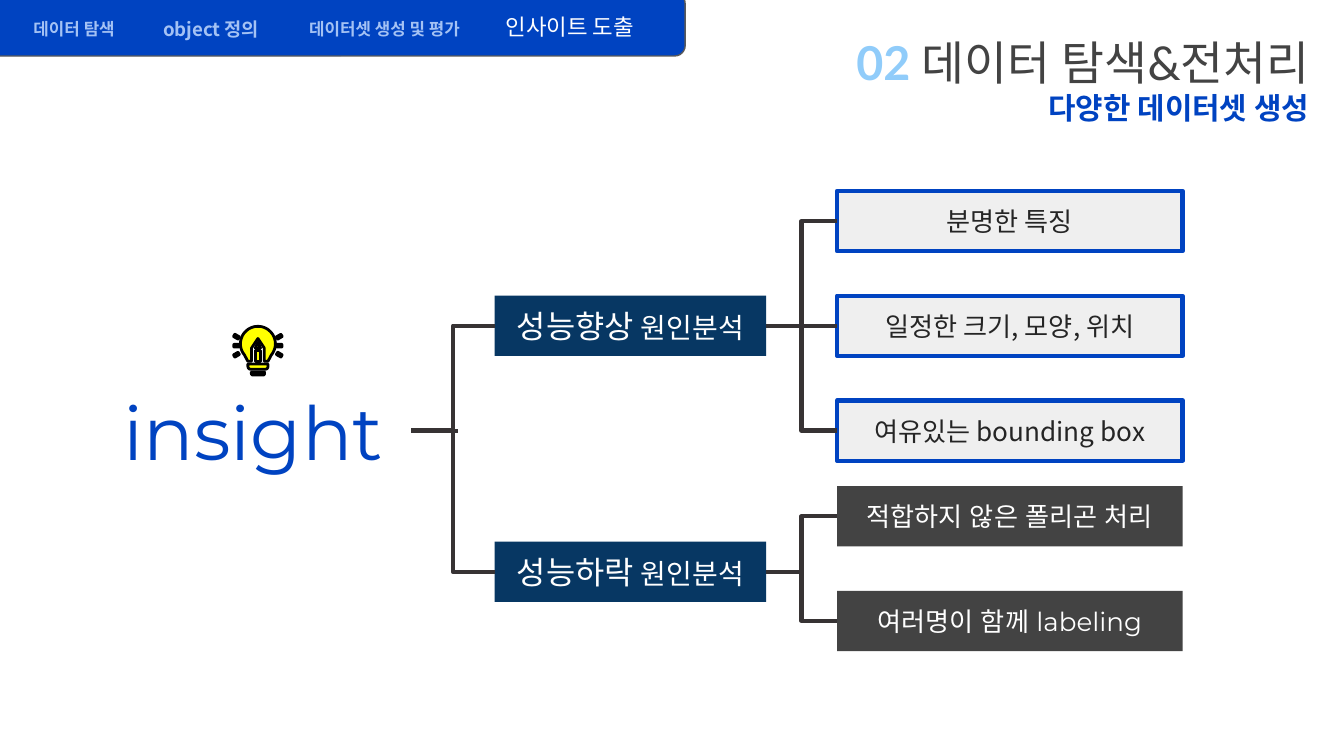
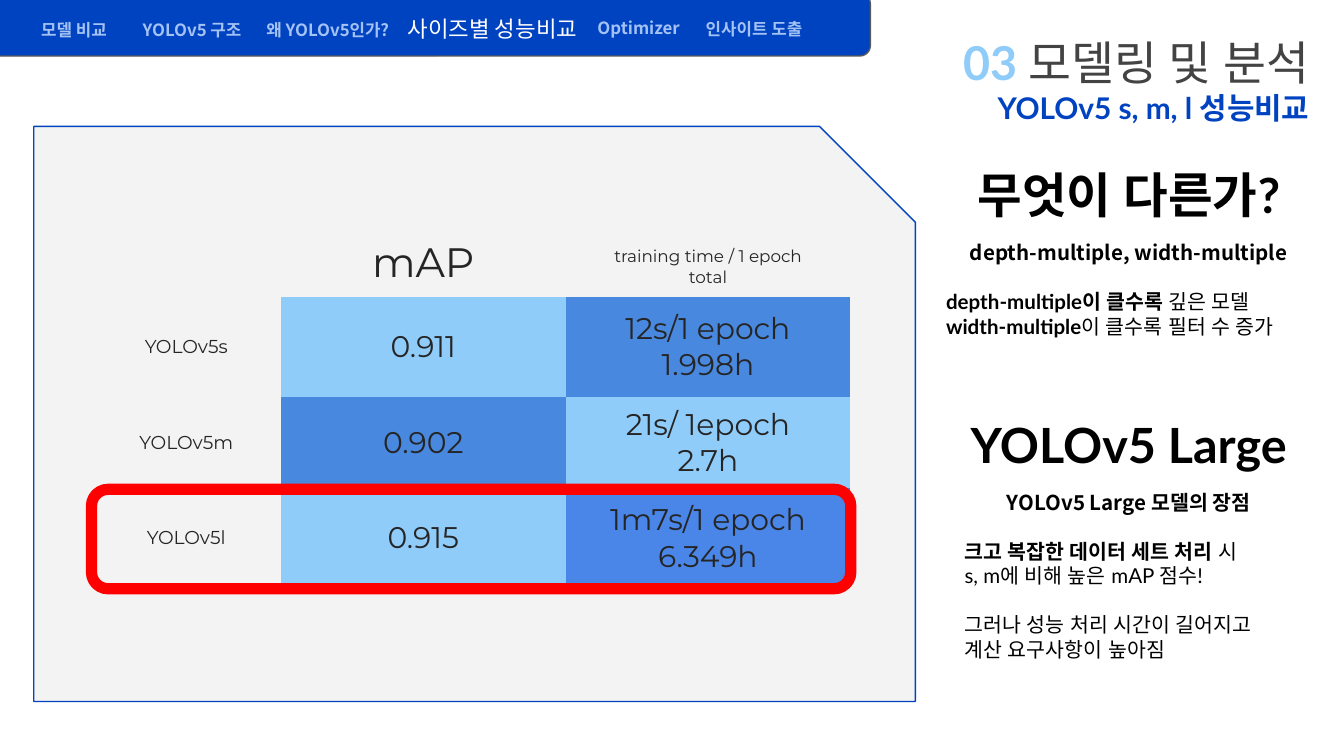
from dataclasses import dataclass, replace
from math import cos, radians, sin

from lxml import etree
from pptx import Presentation
from pptx.dml.color import RGBColor
from pptx.enum.shapes import MSO_CONNECTOR, MSO_SHAPE
from pptx.enum.text import MSO_ANCHOR, PP_ALIGN
from pptx.oxml.ns import qn
from pptx.util import Cm, Pt

LEFT, CENTER, RIGHT = PP_ALIGN.LEFT, PP_ALIGN.CENTER, PP_ALIGN.RIGHT
TOP, MIDDLE, BOTTOM = MSO_ANCHOR.TOP, MSO_ANCHOR.MIDDLE, MSO_ANCHOR.BOTTOM
RECT, ROUNDED = MSO_SHAPE.RECTANGLE, MSO_SHAPE.ROUNDED_RECTANGLE
SNIPPED, ROUND_TOP = MSO_SHAPE.SNIP_1_RECTANGLE, MSO_SHAPE.ROUND_2_SAME_RECTANGLE
STRAIGHT, ELBOW = MSO_CONNECTOR.STRAIGHT, MSO_CONNECTOR.ELBOW
SIDE_LEFT, SIDE_RIGHT = 1, 3
NO_TABLE_STYLE = "{2D5ABB26-0587-4C30-8999-92F81FD0307C}"


@dataclass(frozen=True)
class Style:
    size: float
    font: str
    color: str
    bold: bool = False


@dataclass(frozen=True)
class Box:
    left: float
    top: float
    width: float
    height: float

    def inner(self, left, top, width, height):
        return Box(self.left + left, self.top + top, width, height)

    def lengths(self):
        return [Cm(v) for v in (self.left, self.top, self.width, self.height)]


class Theme:
    blue, sky, mid_blue, bright_blue = "0043C1", "90CCFA", "4888DE", "4A86E8"
    navy, dark, ink, line = "073763", "434343", "252525", "373334"
    pale, panel, white, black = "EFEFEF", "F3F3F3", "FFFFFF", "000000"
    band_edge, yellow, red = "595959", "FFFF00", "FF0000"
    lato, noto, montserrat = "Lato", "Noto Sans CJK KR", "Montserrat"

    number = Style(25, lato, sky, True)
    title = Style(25, lato, dark)
    subtitle = Style(16, lato, blue, True)
    tab = Style(9, noto, "A4C2F4", True)
    wide_tab = replace(tab, size=10)
    active_tab = Style(12, noto, white)
    root = Style(40, montserrat, blue)
    cause = Style(17, noto, white)
    cause_small = replace(cause, size=15)
    good_leaf = Style(14, noto, ink)
    bad_leaf = Style(14, montserrat, white)
    heading = Style(26, lato, black, True)
    lead = Style(11, noto, black, True)
    strong = Style(11, lato, black, True)
    plain = Style(11, lato, black)
    value = Style(16, montserrat, ink)
    measure = replace(value, size=22)
    unit = replace(value, size=9)
    model = replace(value, size=10)


def rgb(value):
    return RGBColor.from_string(value)


# Text and shape helpers
def add_spans(para, spans, align=LEFT, before=0):
    para.alignment = align
    if before:
        para.space_before = Pt(before)
    for words, style in spans:
        span = para.add_run()
        span.text = words
        font = span.font
        font.size, font.bold, font.name = Pt(style.size), style.bold, style.font
        font.color.rgb = rgb(style.color)
        etree.SubElement(span._r.get_or_add_rPr(), qn("a:ea"), typeface=style.font)


def write(frame, paras, anchor=TOP, inset=0.25):
    """Each para is (spans, align) or (spans, align, space before)."""
    frame.word_wrap = True
    frame.vertical_anchor = anchor
    frame.margin_left = frame.margin_right = Cm(inset)
    frame.margin_top = frame.margin_bottom = Cm(inset)
    for index, content in enumerate(paras):
        para = frame.add_paragraph() if index else frame.paragraphs[0]
        add_spans(para, *content)


def add_text(page, box, paras, anchor=TOP, inset=0.25):
    write(page.shapes.add_textbox(*box.lengths()).text_frame, paras, anchor, inset)


def paint(shape, fill=None, line=None, weight=0.75):
    shape.shadow.inherit = False
    if fill:
        shape.fill.solid()
        shape.fill.fore_color.rgb = rgb(fill)
    else:
        shape.fill.background()
    if line:
        shape.line.color.rgb = rgb(line)
        shape.line.width = Pt(weight)
    else:
        shape.line.fill.background()
    return shape


def add_block(page, kind, box, fill=None, line=None, weight=0.75):
    return paint(page.shapes.add_shape(kind, *box.lengths()), fill, line, weight)


def add_line(page, kind, start, end, source=None, target=None):
    wire = page.shapes.add_connector(kind, *[Cm(v) for v in (*start, *end)])
    if source:
        wire.begin_connect(source, SIDE_RIGHT)
    if target:
        wire.end_connect(target, SIDE_LEFT)
    wire.line.color.rgb = rgb(Theme.line)
    wire.line.width = Pt(2.25)
    etree.SubElement(wire.element.spPr, qn("a:effectLst"))


# Shared header: navigation band and right-aligned title
def add_band(page, box, tabs):
    add_block(page, ROUNDED, box, Theme.blue, Theme.band_edge)
    for words, left, top, width, style in tabs:
        add_text(page, box.inner(left, top, width, 0.4), [([(words, style)], CENTER)], inset=0)


def add_title(page, box, number, title, subtitle):
    add_text(page, box.inner(1.38, 1.3, box.width - 1.38, 1.19),
             [([(subtitle, Theme.subtitle)], RIGHT)])
    add_text(page, box.inner(0, 0, box.width, 1.8),
             [([(number + " ", Theme.number), (title, Theme.title)], RIGHT)], BOTTOM)


def add_header(page, band_width, tabs, *titles):
    add_band(page, Box(-0.64, -0.13, band_width, 1.19), tabs)
    add_title(page, Box(15.21, 0.15, 9.78, 2.49), *titles)


# Light bulb with a pencil inside
def add_outline(page, box, points):
    points = [(Cm(box.left + x), Cm(box.top + y)) for x, y in points]
    builder = page.shapes.build_freeform(*points[0])
    builder.add_line_segments(points[1:], close=True)
    paint(builder.convert_to_shape(), Theme.yellow, Theme.black, 1.5)


def add_bulb(page, box):
    middle, radius = box.width / 2, 0.33
    for side, left in ((-1, 0), (1, box.width - 0.1)):
        for row in (-1, 0, 1):
            ray = add_block(page, ROUNDED, box.inner(left, 0.34 + 0.17 * row, 0.1, 0.05),
                            Theme.yellow, Theme.black, 1.5)
            ray.rotation = 30 * side * row
    glass = [(middle + radius * cos(radians(a)), radius + radius * sin(radians(a)))
             for a in range(141, 400, 6)]
    neck = [(0.19, 0.66), (0.12, 0.66), (0.12, 0.41), (0, 0.23),
            (-0.12, 0.41), (-0.12, 0.66), (-0.19, 0.66)]
    add_outline(page, box, glass + [(middle + x, y) for x, y in neck])
    add_outline(page, box, [(middle, 0.3), (middle - 0.05, 0.41), (middle + 0.05, 0.41)])
    add_block(page, RECT, box.inner(middle - 0.05, 0.46, 0.1, 0.2),
              Theme.yellow, Theme.black, 1.5)
    for top, width, height in ((0.71, 0.38, 0.1), (0.86, 0.25, 0.06)):
        foot = add_block(page, ROUND_TOP, box.inner(middle - width / 2, top, width, height),
                         Theme.yellow, Theme.black, 1.5)
        foot.adjustments[0] = 0.5
        foot.rotation = 180


# Insight tree
def add_branch(page, box, cause_top, leaf_top, cause, leaves, style, fill, edge=None):
    height, step = 1.14, 1.98
    cause_block = add_block(page, RECT, box.inner(7.62, cause_top, 5.13, height), Theme.navy)
    write(cause_block.text_frame,
          [([(cause + " ", Theme.cause), ("원인분석", Theme.cause_small)], CENTER)], MIDDLE)
    add_line(page, ELBOW, (box.left + 6.04, box.top + 4.64),
             (box.left + 7.62, box.top + cause_top + height / 2), target=cause_block)
    for index, words in enumerate(leaves):
        top = leaf_top + step * index
        leaf = add_block(page, RECT, box.inner(14.09, top, 6.53, height), fill, edge, 2.25)
        write(leaf.text_frame, [([(words, style)], CENTER)], MIDDLE)
        level = box.top + top + height / 2
        kind = STRAIGHT if abs(top - cause_top) < 0.1 else ELBOW
        add_line(page, kind, (box.left + 12.75, level), (box.left + 14.09, level),
                 cause_block, leaf)


def add_tree(page, box):
    add_bulb(page, box.inner(2.69, 2.67, 0.91, 0.94))
    add_text(page, box.inner(0, 3.74, 6.12, 1.8),
             [([("insight", Theme.root)], CENTER)], MIDDLE)
    level = box.top + 4.64
    add_line(page, STRAIGHT, (box.left + 6.04, level), (box.left + 6.93, level))
    add_branch(page, box, 2.09, 0.11, "성능향상",
               ["분명한 특징", "일정한 크기, 모양, 위치", "여유있는 bounding box"],
               Theme.good_leaf, Theme.pale, Theme.blue)
    add_branch(page, box, 6.74, 5.69, "성능하락",
               ["적합하지 않은 폴리곤 처리", "여러명이 함께 labeling"],
               Theme.bad_leaf, Theme.dark)


# Score table on its snipped panel
def add_scores(page, box):
    add_block(page, SNIPPED, box, Theme.panel, Theme.blue)
    sky, mid, bright = Theme.sky, Theme.mid_blue, Theme.bright_blue
    rows = [
        (1.78, "", "mAP", ["training time / 1 epoch", "total"], None, None),
        (1.88, "YOLOv5s", "0.911", ["12s/1 epoch", "1.998h"], sky, mid),
        (1.7, "YOLOv5m", "0.902", ["21s/ 1epoch", "2.7h"], mid, sky),
        (1.88, "YOLOv5l", "0.915", ["1m7s/1 epoch", "6.349h"], sky, bright),
    ]
    widths = (3.58, 5.38, 5.38)
    area = box.inner(1.09, 1.45, sum(widths), sum(row[0] for row in rows))
    frame = page.shapes.add_table(len(rows), len(widths), *area.lengths())
    frame.element.xpath(".//a:tableStyleId")[0].text = NO_TABLE_STYLE
    table = frame.table
    table.first_row = table.horz_banding = False
    for column, width in zip(table.columns, widths):
        column.width = Cm(width)
    for index, (height, name, score, times, *fills) in enumerate(rows):
        table.rows[index].height = Cm(height)
        styles = [Theme.model, Theme.value if index else Theme.measure,
                  Theme.value if index else Theme.unit]
        contents = zip(table.rows[index].cells, ([name], [score], times),
                       styles, [None, *fills])
        for cell, lines, style, fill in contents:
            write(cell.text_frame,
                  [([(words, style)] if words else [], CENTER) for words in lines])
            cell.vertical_anchor = MIDDLE if index else BOTTOM
            cell.margin_left = cell.margin_right = Cm(0.25)
            cell.margin_top = cell.margin_bottom = Cm(0.18)
            if fill:
                cell.fill.solid()
                cell.fill.fore_color.rgb = rgb(fill)
            else:
                cell.fill.background()
    # Highlight around the last row
    add_block(page, ROUNDED, box.inner(1.09, 6.86, 14.35, 1.88), None, Theme.red, 6)


# Heading with explanation below
def add_note(page, box, heading, indent, lead, paras):
    add_text(page, box.inner(0, 0, box.width, 1.63), [([(heading, Theme.heading)], CENTER)])
    add_text(page, box.inner(indent, 1.42, box.width - 2 * indent, box.height - 1.42),
             [([(lead, Theme.lead)], CENTER), *paras])


def build_insight(page):
    tab = Theme.tab
    add_header(page, 13.59, [
        ("데이터 탐색", 0.77, 0.49, 2.54, tab),
        ("object 정의", 3.36, 0.46, 2.54, Theme.wide_tab),
        ("데이터셋 생성 및 평가", 6.05, 0.49, 3.71, tab),
        ("인사이트 도출", 10.14, 0.38, 2.54, Theme.active_tab),
    ], "02", "데이터 탐색&전처리", "다양한 데이터셋 생성")
    add_tree(page, Box(1.73, 3.5, 20.62, 8.82))


def build_comparison(page):
    tab, strong, plain = Theme.tab, Theme.strong, Theme.plain
    add_scores(page, Box(0.64, 2.39, 16.66, 10.87))
    add_header(page, 17.09, [
        ("모델 비교", 0.77, 0.51, 2.54, tab),
        ("YOLOv5 구조", 3, 0.51, 2.54, tab),
        ("왜 YOLOv5인가?", 4.83, 0.51, 4.01, tab),
        ("사이즈별 성능비교", 8.06, 0.41, 3.78, Theme.active_tab),
        ("Optimizer", 11.44, 0.46, 2.54, tab),
        ("인사이트 도출", 13.62, 0.49, 2.54, tab),
    ], "03", "모델링 및 분석", "YOLOv5 s, m, l 성능비교")
    add_note(page, Box(17.5, 2.87, 7.67, 3.81), "무엇이 다른가?", 0.13,
             "depth-multiple, width-multiple", [
                 ([("depth-multiple이 클수록 ", strong), ("깊은 모델", plain)], LEFT, 13),
                 ([("width-multiple", strong), ("이 클수록 필터 수 증가", plain)], LEFT)])
    add_note(page, Box(17.5, 7.59, 7.67, 5.23), "YOLOv5 Large", 0.48,
             "YOLOv5 Large 모델의 장점", [
                 ([("크고 복잡한 데이터 세트 처리", strong), (" 시", plain)], LEFT, 13),
                 ([("s, m에 비해 높은 mAP 점수!", plain)], LEFT),
                 ([("그러나 성능 처리 시간이 길어지고", plain)], LEFT, 13),
                 ([("계산 요구사항이 높아짐", plain)], LEFT)])


def main():
    deck = Presentation()
    deck.slide_width, deck.slide_height = Cm(25.4), Cm(14.29)
    for build in (build_insight, build_comparison):
        build(deck.slides.add_slide(deck.slide_layouts[6]))
    deck.save("out.pptx")


if __name__ == "__main__":
    main()
